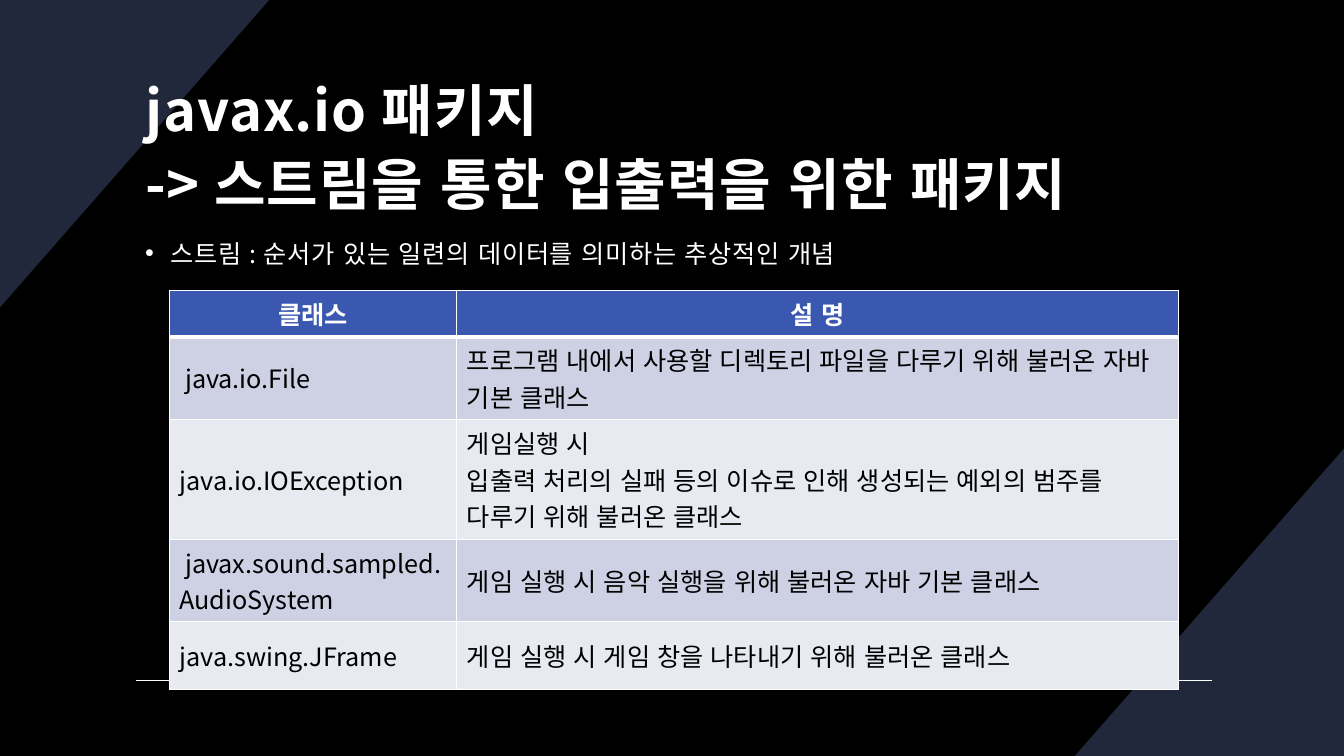
from lxml import etree
from pptx import Presentation
from pptx.dml.color import RGBColor
from pptx.enum import lang, shapes, text
from pptx.oxml.ns import qn
from pptx.util import Inches, Pt

FONT = "Noto Sans CJK KR"
WHITE, BLACK, NAVY, BLUE = "FFFFFF", "000000", "22283C", "3B58B1"
BANDS = ["CED1E4", "E8EAF2"]
INSETS = (0.12, 0.12, 0.12, 0.1)
NBSP = chr(160)

TITLE = "javax.io 패키지\v-> 스트림을 통한 입출력을 위한 패키지"
STREAM = "스트림 : 순서가 있는 일련의 데이터를 의미하는 추상적인 개념"
HEADER = ("클래스", "설 명")
CLASSES = [
    (" java.io.File",
     "프로그램 내에서 사용할 디렉토리 파일을 다루기 위해 불러온 자바 기본 클래스"),
    ("java.io.IOException",
     "게임실행 시\v입출력 처리의 실패 등의 이슈로 인해 생성되는 예외의 범주를 다루기 위해 불러온 클래스"),
    (NBSP + "javax.sound.sampled.AudioSystem",
     "게임 실행 시 음악 실행을 위해 불러온 자바 기본 클래스"),
    ("java.swing.JFrame",
     "게임 실행 시 게임 창을 나타내기 위해 불러온 클래스"),
]


def rgb(color):
    return RGBColor.from_string(color)


def paint(target, color):
    target.fill.solid()
    target.fill.fore_color.rgb = rgb(color)


def write(tf, words, size=18, color=WHITE, bold=False, align=text.PP_ALIGN.LEFT,
          line=None, spacing=0, bullet=None):
    """Put one formatted paragraph into a text frame."""
    p = tf.paragraphs[0]
    p.text = words
    p.alignment = align
    if line:
        p.line_spacing = line
    if bullet:
        pPr = p._p.get_or_add_pPr()
        pPr.set("marL", str(Inches(0.25)))
        pPr.set("indent", str(Inches(-0.25)))
        etree.SubElement(pPr, qn("a:buFont"), typeface="Arial")
        etree.SubElement(pPr, qn("a:buChar"), char=bullet)
    for r in p.runs:
        r.font.size, r.font.bold, r.font.name = Pt(size), bold, FONT
        r.font.color.rgb = rgb(color)
        r.font.language_id = lang.MSO_LANGUAGE_ID.KOREAN
        rPr = r._r.get_or_add_rPr()
        if spacing:
            rPr.set("spc", str(round(spacing * 100)))
        etree.SubElement(rPr, qn("a:ea"), typeface=FONT)


def textbox(s, words, box, anchor, insets=INSETS, **fmt):
    tf = s.shapes.add_textbox(*map(Inches, box)).text_frame
    tf.word_wrap = True
    tf.vertical_anchor = anchor
    (tf.margin_left, tf.margin_top,
     tf.margin_right, tf.margin_bottom) = map(Inches, insets)
    write(tf, words, **fmt)


def corner(s, points):
    fb = s.shapes.build_freeform(Inches(points[0][0]), Inches(points[0][1]))
    fb.add_line_segments([(Inches(x), Inches(y)) for x, y in points[1:]])
    sp = fb.convert_to_shape()
    sp.shadow.inherit = False
    paint(sp, NAVY)
    sp.line.fill.background()


def rule(s, x1, x2, y):
    cn = s.shapes.add_connector(shapes.MSO_CONNECTOR.STRAIGHT,
                                Inches(x1), Inches(y), Inches(x2), Inches(y))
    cn.line.color.rgb = rgb(WHITE)
    cn.line.width = Pt(1)
    etree.SubElement(cn._element.spPr, qn("a:effectLst"))


def borders(cell, bottom):
    tcPr = cell._tc.get_or_add_tcPr()
    for side, width in (("L", 1), ("R", 1), ("T", 1), ("B", bottom)):
        ln = etree.SubElement(tcPr, qn("a:ln" + side), w=str(Pt(width)))
        fill = etree.SubElement(ln, qn("a:solidFill"))
        etree.SubElement(fill, qn("a:srgbClr"), val=WHITE)


def class_table(s, left, top, widths, heights):
    tbl = s.shapes.add_table(len(heights), len(widths), Inches(left), Inches(top),
                             Inches(sum(widths)), Inches(sum(heights))).table
    for col, width in zip(tbl.columns, widths):
        col.width = Inches(width)
    for i, (row, height) in enumerate(zip(tbl.rows, heights)):
        row.height = Inches(height)
        for cell, words in zip(row.cells, [HEADER, *CLASSES][i]):
            cell.vertical_anchor = text.MSO_ANCHOR.MIDDLE
            # Borders come before the fill in the cell properties
            if i == 0:
                borders(cell, bottom=3)
                paint(cell, BLUE)
                write(cell.text_frame, words, bold=True, align=text.PP_ALIGN.CENTER)
            else:
                borders(cell, bottom=1)
                paint(cell, BANDS[(i - 1) % 2])
                write(cell.text_frame, words, color=BLACK)


def main():
    prs = Presentation()
    prs.slide_width, prs.slide_height = Inches(13.33), Inches(7.5)
    s = prs.slides.add_slide(prs.slide_layouts[6])
    paint(s.background, BLACK)

    # Corner triangles and bottom rule
    corner(s, [(13.33, 4.45), (13.33, 7.5), (10.66, 7.5)])
    corner(s, [(0, 3.05), (0, 0), (2.67, 0)])
    rule(s, 1.35, 12.02, 6.75)

    # Title and definition
    textbox(s, TITLE, (1.32, 0.99, 10.83, 1.49), text.MSO_ANCHOR.BOTTOM,
            insets=(0.12, 0.12, 0.12, 0.33), size=40, bold=True, line=1.1, spacing=0.7)
    textbox(s, STREAM, (1.32, 2.18, 12.55, 3.9), text.MSO_ANCHOR.TOP,
            line=1.2, spacing=0.5, bullet="•")

    # Class table
    class_table(s, 1.68, 2.88, [2.85, 7.16], [0.46, 0.82, 1.19, 0.82, 0.67])
    prs.save("out.pptx")


if __name__ == "__main__":
    main()
